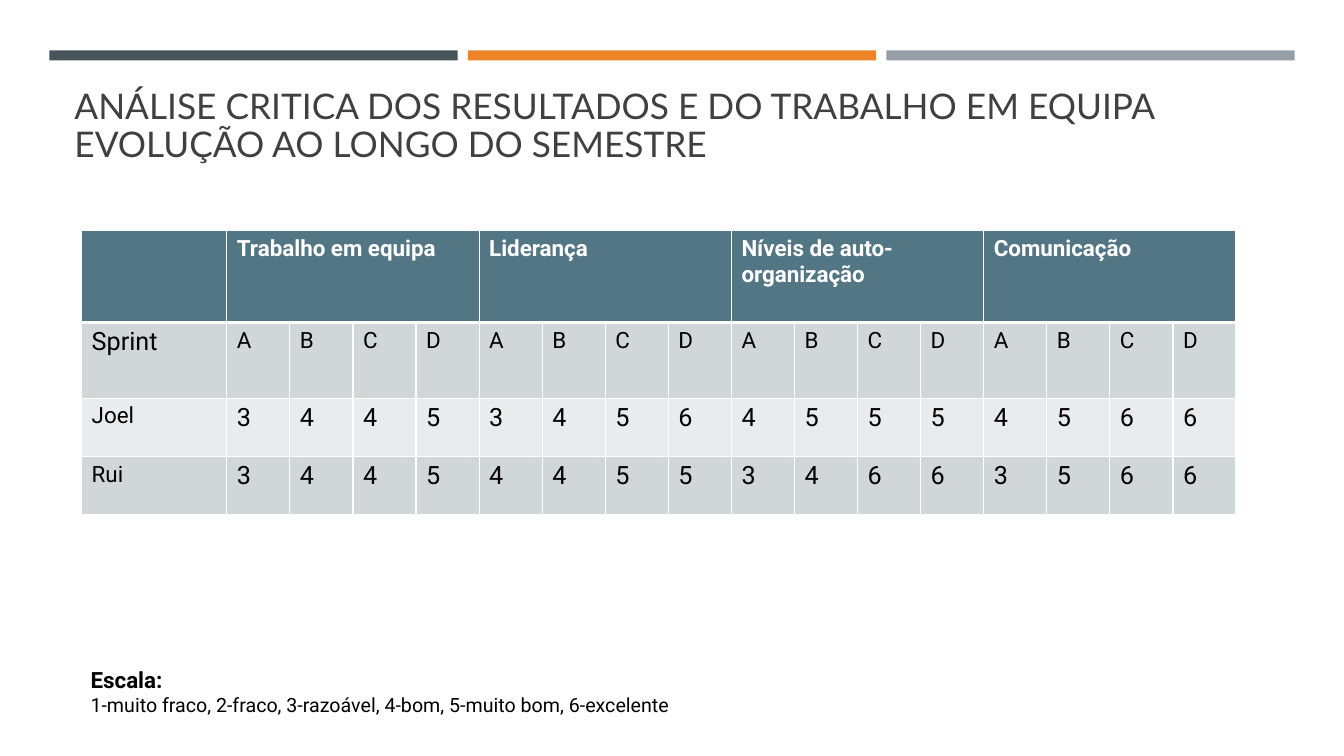
"""Build the team evaluation slide with its sprint score table."""
from lxml.etree import SubElement
from pptx import Presentation
from pptx.dml.color import RGBColor
from pptx.enum.shapes import MSO_SHAPE as Shape
from pptx.enum.text import MSO_ANCHOR as Anchor
from pptx.oxml.ns import qn
from pptx.util import Inches, Pt

TITLE = [
    "ANÁLISE CRITICA DOS RESULTADOS E DO TRABALHO EM EQUIPA",
    "EVOLUÇÃO AO LONGO DO SEMESTRE",
]
SKILLS = ["Trabalho em equipa", "Liderança", "Níveis de auto-organização", "Comunicação"]
SPRINTS = "ABCD"
SCORES = {
    "Joel": ["3445", "3456", "4555", "4566"],
    "Rui": ["3445", "4455", "3466", "3566"],
}
SCALE = [
    ("Escala:", 16, True),
    ("1-muito fraco, 2-fraco, 3-razoável, 4-bom, 5-muito bom, 6-excelente", 14, False),
]
COLORS = {
    "slate": "465359", "orange": "ED8428", "gray": "969FA7",
    "header": "537685", "dark_band": "D1D6D9", "light_band": "E9ECED",
    "white": "FFFFFF", "black": "000000", "title": "404040",
}
BARS = ["slate", "orange", "gray"]
BAR_LEFT, BAR_STEP, BAR_WIDTH = 0.49, 4.15, 4.05
TABLE_WIDTH, NAME_WIDTH = 11.45, 1.44
ROW_HEIGHTS = [0.91, 0.75, 0.58, 0.58]


def style(paragraph, size, color, font="Roboto", bold=False):
    for run in paragraph.runs:
        run.font.name = font
        run.font.size = Pt(size)
        run.font.bold = bold
        run.font.color.rgb = RGBColor.from_string(COLORS[color])


def add_borders(cell, bottom):
    properties = cell._tc.get_or_add_tcPr()
    widths = {"a:lnL": 1, "a:lnR": 1, "a:lnT": 1, "a:lnB": bottom}
    for position, (tag, width) in enumerate(widths.items()):
        line = SubElement(properties, qn(tag), w=str(Pt(width)))
        fill = SubElement(line, qn("a:solidFill"))
        SubElement(fill, qn("a:srgbClr"), val=COLORS["white"])
        properties.insert(position, line)


def add_bars(slide):
    for index, color in enumerate(BARS):
        bar = slide.shapes.add_shape(
            Shape.RECTANGLE, Inches(BAR_LEFT + index * BAR_STEP), Inches(0.5),
            Inches(BAR_WIDTH), Inches(0.1))
        bar.shadow.inherit = False
        bar.fill.solid()
        bar.fill.fore_color.rgb = RGBColor.from_string(COLORS[color])
        bar.line.fill.background()


def add_score_table(slide):
    span = len(SPRINTS)
    header = [""]
    for skill in SKILLS:
        header += [skill] + [""] * (span - 1)
    rows = [header, ["Sprint", *(SPRINTS * len(SKILLS))]]
    rows += [[name, *"".join(marks)] for name, marks in SCORES.items()]
    bands = ["header", "dark_band", "light_band", "dark_band"]

    table = slide.shapes.add_table(
        len(rows), len(header), Inches(0.81), Inches(2.29),
        Inches(TABLE_WIDTH), Inches(sum(ROW_HEIGHTS))).table
    score_width = (TABLE_WIDTH - NAME_WIDTH) / (len(header) - 1)
    for index, column in enumerate(table.columns):
        column.width = Inches(score_width if index else NAME_WIDTH)
    for row, height in zip(table.rows, ROW_HEIGHTS):
        row.height = Inches(height)

    for r, (texts, band) in enumerate(zip(rows, bands)):
        is_header = r == 0
        for c, text in enumerate(texts):
            cell = table.cell(r, c)
            cell.text_frame.text = text
            cell.fill.solid()
            cell.fill.fore_color.rgb = RGBColor.from_string(COLORS[band])
            add_borders(cell, 3 if is_header else 1)
            large = text == "Sprint" or text.isdigit()
            style(cell.text_frame.paragraphs[0], 18 if large else 16,
                  "white" if is_header else "black", bold=is_header)
    for first in range(1, len(header), span):
        table.cell(0, first).merge(table.cell(0, first + span - 1))


def add_scale(slide):
    frame = slide.shapes.add_textbox(
        Inches(0.8), Inches(6.56), Inches(8.76), Inches(0.94)).text_frame
    frame.word_wrap = True
    frame.text = "\n".join(text for text, _, _ in SCALE)
    for paragraph, (_, size, bold) in zip(frame.paragraphs, SCALE):
        style(paragraph, size, "black", bold=bold)


def add_title(slide):
    frame = slide.shapes.add_textbox(
        Inches(0.64), Inches(0.77), Inches(12.06), Inches(1.3)).text_frame
    frame.word_wrap = True
    frame.vertical_anchor = Anchor.BOTTOM
    frame.margin_bottom = Inches(0.43)
    heading = frame.paragraphs[0]
    heading.text = "\v".join(TITLE)
    heading.line_spacing = 0.9
    style(heading, 25.2, "title", font="Lato")


def main():
    deck = Presentation()
    deck.slide_width, deck.slide_height = Inches(13.33), Inches(7.5)
    slide = deck.slides.add_slide(deck.slide_layouts[6])
    add_bars(slide)
    add_score_table(slide)
    add_scale(slide)
    add_title(slide)
    deck.save("out.pptx")


if __name__ == "__main__":
    main()
